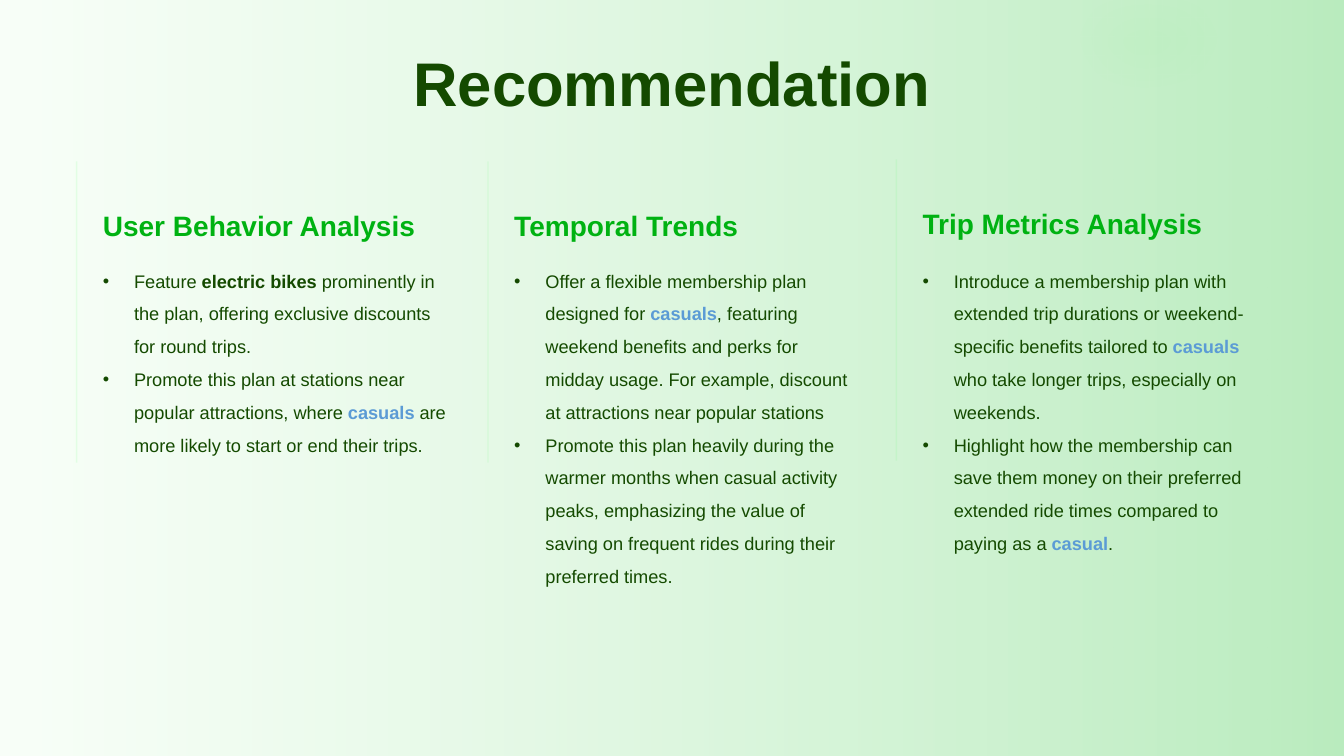
from dataclasses import dataclass
from typing import Optional

from lxml import etree
from pptx import Presentation, util as u
from pptx.dml.color import RGBColor
from pptx.enum import shapes, text
from pptx.oxml import ns

DARK_GREEN = "144A00"
GREEN = "00B212"
BLUE = "5B9BD5"
COLUMN_WIDTH = 3.42
INDENT = u.Inches(0.31)


@dataclass
class Span:
    text: str
    color: str = DARK_GREEN
    bold: bool = False


@dataclass
class Column:
    left: float
    heading_top: float
    body_height: float
    heading: str
    bullets: list[list[Span]]


@dataclass
class Curve:
    start: tuple[float, float]
    control_1: tuple[float, float]
    control_2: tuple[float, float]
    end: tuple[float, float]

    def points(self, steps: int = 16) -> list[tuple[float, float]]:
        corners = (self.start, self.control_1, self.control_2, self.end)
        result = []
        for step in range(1, steps + 1):
            t = step / steps
            weights = ((1 - t) ** 3, 3 * t * (1 - t) ** 2, 3 * t * t * (1 - t), t ** 3)
            x, y = (sum(w * c[axis] for w, c in zip(weights, corners)) for axis in (0, 1))
            result.append((x, y))
        return result


COLUMNS = [
    Column(1.02, 1.5, 2.94, "User Behavior Analysis", [
        [Span("Feature"), Span(" electric bikes ", bold=True),
         Span("prominently in the plan, offering exclusive discounts for round trips.")],
        [Span("Promote this plan at stations near popular attractions, where "),
         Span("casuals", BLUE, True),
         Span(" are more likely to start or end their trips.")],
    ]),
    Column(5.1, 1.5, 3.77, "Temporal Trends", [
        [Span("Offer a flexible membership plan designed for"),
         Span(" casuals", BLUE, True),
         Span(", featuring weekend benefits and perks for midday usage. For example, "
              "discount at attractions near popular stations")],
        [Span("Promote this plan heavily during the warmer months when casual activity peaks, "
              "emphasizing the value of saving on frequent rides during their preferred times.")],
    ]),
    Column(9.15, 1.48, 3.39, "Trip Metrics Analysis", [
        [Span("Introduce a membership plan with extended trip durations or "
              "weekend-specific benefits tailored to "),
         Span("casuals", BLUE, True),
         Span(" who take longer trips, especially on weekends.")],
        [Span("Highlight how the membership can save them money on their preferred "
              "extended ride times compared to paying as a "),
         Span("casual", BLUE, True), Span(".")],
    ]),
]

GLOW_CURVES = [
    Curve((8.53, -0.19), (9.19, 0.18), (9.79, 0.56), (10.51, 0.93)),
    Curve((10.51, 0.93), (11.13, 1.24), (11.67, 1.1), (12.35, 0.91)),
    Curve((12.35, 0.91), (12.81, 0.6), (12.88, 0.19), (12.9, -0.15)),
    Curve((12.9, -0.15), (11.49, -0.19), (10.69, -0.13), (8.53, -0.19)),
]


def rgb(color: str) -> RGBColor:
    return RGBColor.from_string(color)


def set_opacity(color_element, percent: int) -> None:
    alpha = etree.SubElement(color_element, ns.qn("a:alpha"))
    alpha.set("val", str(percent * 1000))


def add_backdrop(slide, width: int, height: int) -> None:
    slide.background.fill.solid()
    slide.background.fill.fore_color.rgb = rgb("F7FFF7")
    shape = slide.shapes.add_shape(shapes.MSO_SHAPE.RECTANGLE, 0, 0, width, height)
    shape.shadow.inherit = False
    shape.line.fill.background()
    shape.fill.gradient()
    shape.fill.gradient_angle = 0
    stops = zip(shape.fill.gradient_stops, (0, 1), ("FFFFFF", GREEN))
    for stop, position, color in stops:
        stop.position = position
        stop.color.rgb = rgb(color)
    for element, opacity in zip(shape.element.spPr.iter(ns.qn("a:srgbClr")), (18, 25)):
        set_opacity(element, opacity)


def add_glow(slide) -> None:
    start_x, start_y = GLOW_CURVES[0].start
    builder = slide.shapes.build_freeform(
        u.Inches(start_x), u.Inches(start_y), scale=1.0)
    points = [point for curve in GLOW_CURVES for point in curve.points()]
    builder.add_line_segments([(u.Inches(x), u.Inches(y)) for x, y in points], close=True)
    shape = builder.convert_to_shape()
    shape.shadow.inherit = False
    shape.line.fill.background()
    shape.fill.solid()
    shape.fill.fore_color.rgb = rgb("38FF4C")
    properties = shape.element.spPr
    set_opacity(properties.find(".//" + ns.qn("a:srgbClr")), 9)
    effects = properties.find(ns.qn("a:effectLst"))
    soft_edge = etree.SubElement(effects, ns.qn("a:softEdge"))
    soft_edge.set("rad", str(u.Inches(0.5)))


def add_rule(slide, column: Column) -> None:
    x = u.Inches(column.left - 0.26)
    top = column.heading_top + 0.1
    line = slide.shapes.add_connector(
        shapes.MSO_CONNECTOR.STRAIGHT, x, u.Inches(top + 2.99), x, u.Inches(top))
    line.line.width = u.Pt(1)
    line.line.color.rgb = rgb("7AFF88")
    properties = line.element.spPr
    set_opacity(properties.find(".//" + ns.qn("a:srgbClr")), 15)
    etree.SubElement(properties, ns.qn("a:effectLst"))


def add_frame(slide, left: float, top: float, width: float, height: float,
              anchor: text.MSO_ANCHOR):
    box = slide.shapes.add_textbox(*map(u.Inches, (left, top, width, height)))
    frame = box.text_frame
    frame.word_wrap = True
    frame.vertical_anchor = anchor
    frame.margin_left = frame.margin_right = frame.margin_top = frame.margin_bottom = 0
    return frame


def format_run(run, size: float, color: str, bold: bool) -> None:
    run.font.name = "Arial"
    run.font.size = u.Pt(size)
    run.font.bold = bold
    run.font.color.rgb = rgb(color)


def add_heading(slide, left: float, top: float, width: float, height: float,
                words: str, size: float, color: str, align: Optional[text.PP_ALIGN] = None) -> None:
    frame = add_frame(slide, left, top, width, height, text.MSO_ANCHOR.BOTTOM)
    frame.text = words
    paragraph = frame.paragraphs[0]
    paragraph.alignment = align
    format_run(paragraph.runs[0], size, color, True)


def fill_bullet(paragraph, spans: list[Span]) -> None:
    properties = paragraph._p.get_or_add_pPr()
    properties.set("marL", str(INDENT))
    properties.set("indent", str(-INDENT))
    etree.SubElement(properties, ns.qn("a:buFont")).set("typeface", "Arial")
    etree.SubElement(properties, ns.qn("a:buChar")).set("char", "•")
    paragraph.line_spacing = 1.5
    for span in spans:
        run = paragraph.add_run()
        run.text = span.text
        format_run(run, 13, span.color, span.bold)


def add_column(slide, column: Column) -> None:
    add_rule(slide, column)
    frame = add_frame(slide, column.left, 2.57, COLUMN_WIDTH, column.body_height,
                      text.MSO_ANCHOR.TOP)
    for index, spans in enumerate(column.bullets):
        paragraph = frame.add_paragraph() if index else frame.paragraphs[0]
        fill_bullet(paragraph, spans)
    add_heading(slide, column.left, column.heading_top, COLUMN_WIDTH, 0.9,
                column.heading, 20, GREEN)


def main() -> None:
    presentation = Presentation()
    presentation.slide_width = u.Inches(13.33)
    presentation.slide_height = u.Inches(7.5)
    slide = presentation.slides.add_slide(presentation.slide_layouts[6])
    add_backdrop(slide, presentation.slide_width, presentation.slide_height)
    add_glow(slide)
    add_heading(slide, 0.76, 0.39, 11.81, 0.79, "Recommendation", 44, DARK_GREEN,
                text.PP_ALIGN.CENTER)
    for column in COLUMNS:
        add_column(slide, column)
    presentation.save("out.pptx")


if __name__ == "__main__":
    main()
